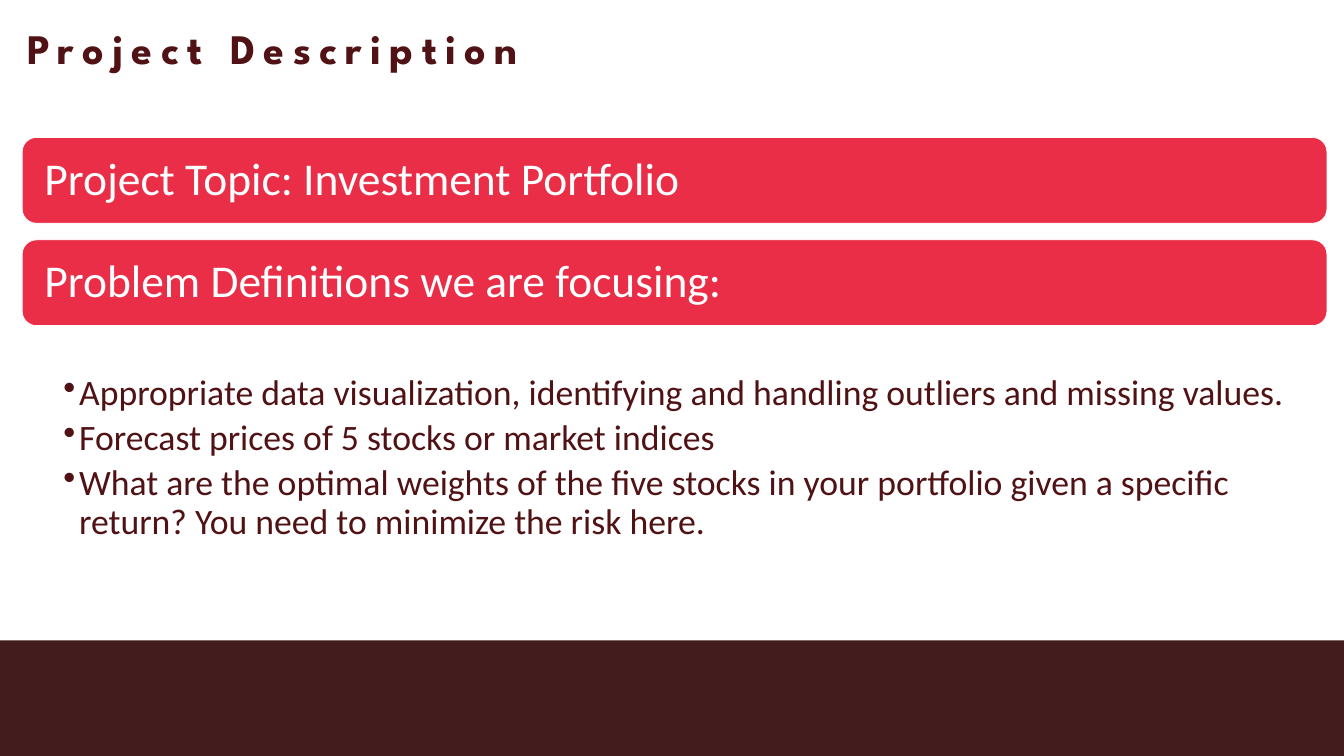
import lxml.etree
import pptx
import pptx.dml.color
import pptx.enum.shapes
import pptx.enum.text
import pptx.oxml.ns
import pptx.util

Cm = pptx.util.Cm
Pt = pptx.util.Pt
Kind = pptx.enum.shapes.MSO_SHAPE
Anchor = pptx.enum.text.MSO_ANCHOR
Align = pptx.enum.text.PP_ALIGN
qn = pptx.oxml.ns.qn


def color(code):
    return pptx.dml.color.RGBColor.from_string(code)


def apply(target, values):
    for name, value in values.items():
        setattr(target, name, value)


class Deck:
    """Draws styled elements on the current slide."""

    ink, red, band_ink, white = "501214", "EB2E47", "431C1D", "FFFFFF"
    left, wide = 1.12, 65.76

    def __init__(self, width, height):
        self.show = pptx.Presentation()
        apply(self.show, {"slide_width": Cm(width), "slide_height": Cm(height)})
        self.slide = self.show.slides.add_slide(self.show.slide_layouts[6])

    def frame(self, shape, pads, anchor):
        sides = ("margin_left", "margin_top", "margin_right", "margin_bottom")
        apply(shape.text_frame, {side: Cm(pad) for side, pad in zip(sides, pads)})
        apply(shape.text_frame, {"word_wrap": True, "vertical_anchor": anchor})
        return shape.text_frame

    def label(self, para, text, size, code, face="Calibri", bold=False):
        apply(para, {"line_spacing": 0.9, "alignment": Align.LEFT})
        run = para.add_run()
        run.text = text
        apply(run.font, {"name": face, "size": Pt(size), "bold": bold})
        run.font.color.rgb = color(code)
        return run

    def block(self, kind, left, top, width, height, fill):
        shape = self.slide.shapes.add_shape(
            kind, Cm(left), Cm(top), Cm(width), Cm(height))
        shape.shadow.inherit = False
        shape.fill.solid()
        shape.fill.fore_color.rgb = color(fill)
        shape.line.fill.background()
        return shape

    def title(self, text, top):
        box = self.slide.shapes.add_textbox(
            Cm(self.left), Cm(top), Cm(50.8), Cm(3.18))
        frame = self.frame(box, (0.25, 0.13, 0.25, 0.13), Anchor.TOP)
        run = self.label(frame.paragraphs[0], text, 60, self.ink,
                         "League Spartan", True)
        run._r.get_or_add_rPr().set("spc", "1200")

    def bar(self, text, top):
        shape = self.block(Kind.ROUNDED_RECTANGLE, self.left, top,
                           self.wide, 4.32, self.red)
        shape.line.color.rgb = color(self.white)
        shape.line.width = Pt(1)
        frame = self.frame(shape, (0.91, 0.69, 0.91, 0.69), Anchor.MIDDLE)
        self.label(frame.paragraphs[0], text, 65, self.white)

    def points(self, items, top):
        box = self.slide.shapes.add_textbox(
            Cm(self.left), Cm(top), Cm(self.wide), Cm(9.35))
        frame = self.frame(box, (2.08, 0.23, 1.3, 0.23), Anchor.TOP)
        for index, item in enumerate(items):
            para = frame.add_paragraph() if index else frame.paragraphs[0]
            props = para._p.get_or_add_pPr()
            props.set("marL", str(Cm(0.79)))
            props.set("indent", str(-Cm(0.79)))
            lxml.etree.SubElement(props, qn("a:buChar")).set("char", "•")
            para.space_after = Pt(9)
            self.label(para, item, 51, self.ink)


def main():
    deck = Deck(67.74, 38.1)
    deck.block(Kind.RECTANGLE, 0, 32.28, 67.74, 5.82, deck.band_ink)
    deck.title("Project Description", 1.3)
    heads = ("Project Topic: Investment Portfolio",
             "Problem Definitions we are focusing:")
    for index, head in enumerate(heads):
        deck.bar(head, 6.93 + 5.16 * index)
    deck.points((
        "Appropriate data visualization, identifying and handling outliers "
        "and missing values.",
        "Forecast prices of 5 stocks or market indices",
        "What are the optimal weights of the five stocks in your portfolio "
        "given a specific return? You need to minimize the risk here.",
    ), 18.67)
    deck.show.save("out.pptx")


if __name__ == "__main__":
    main()
